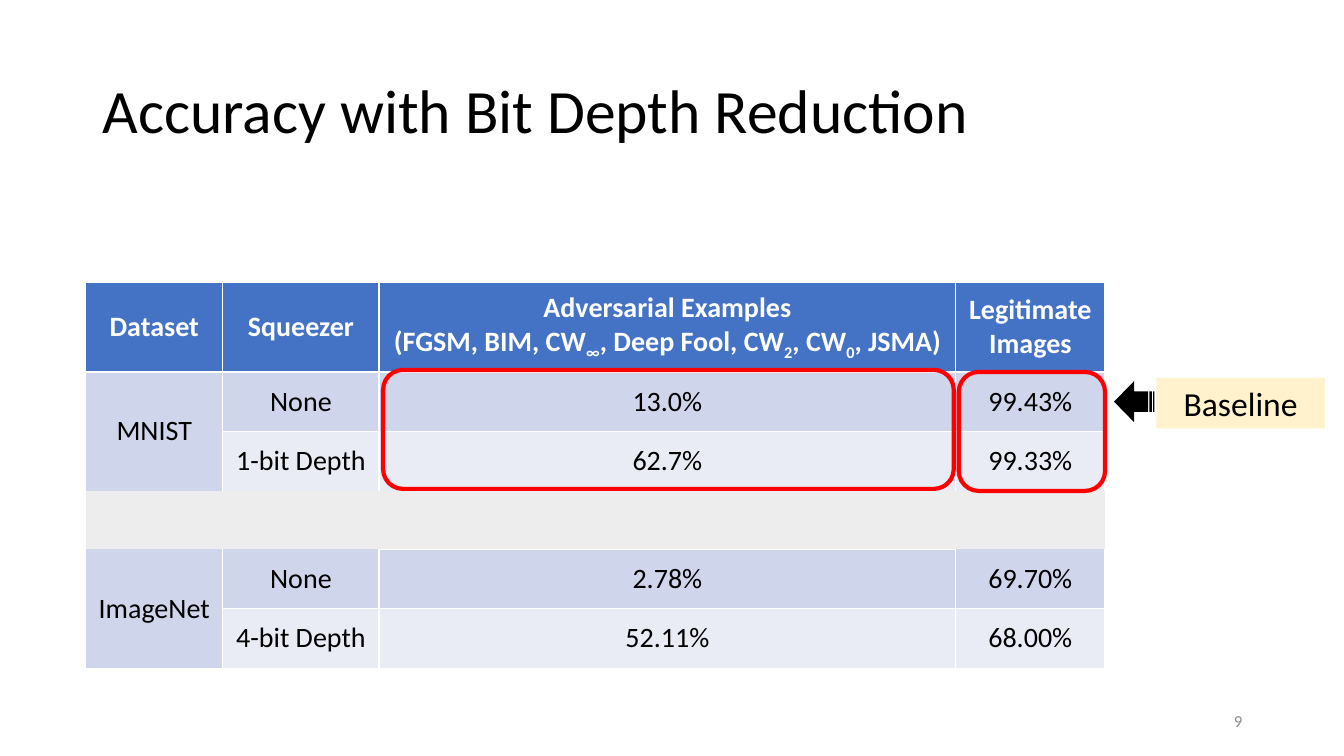
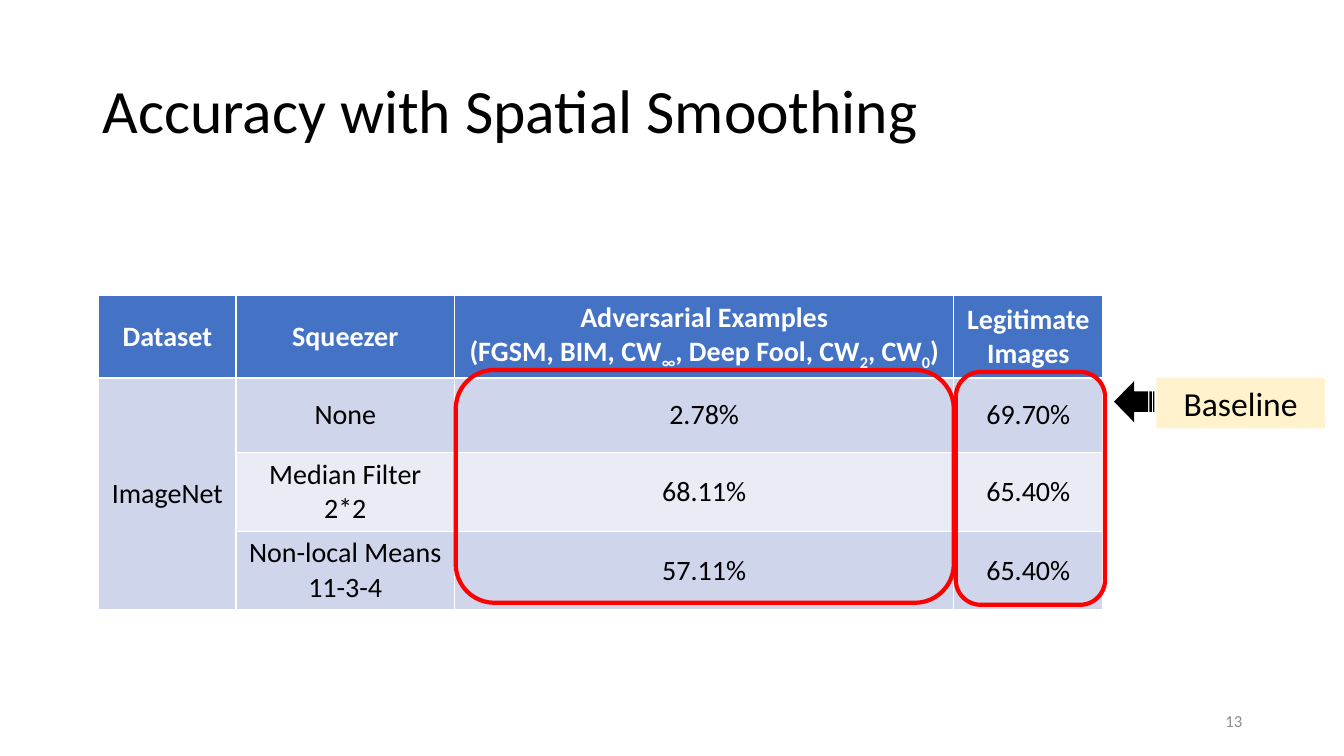
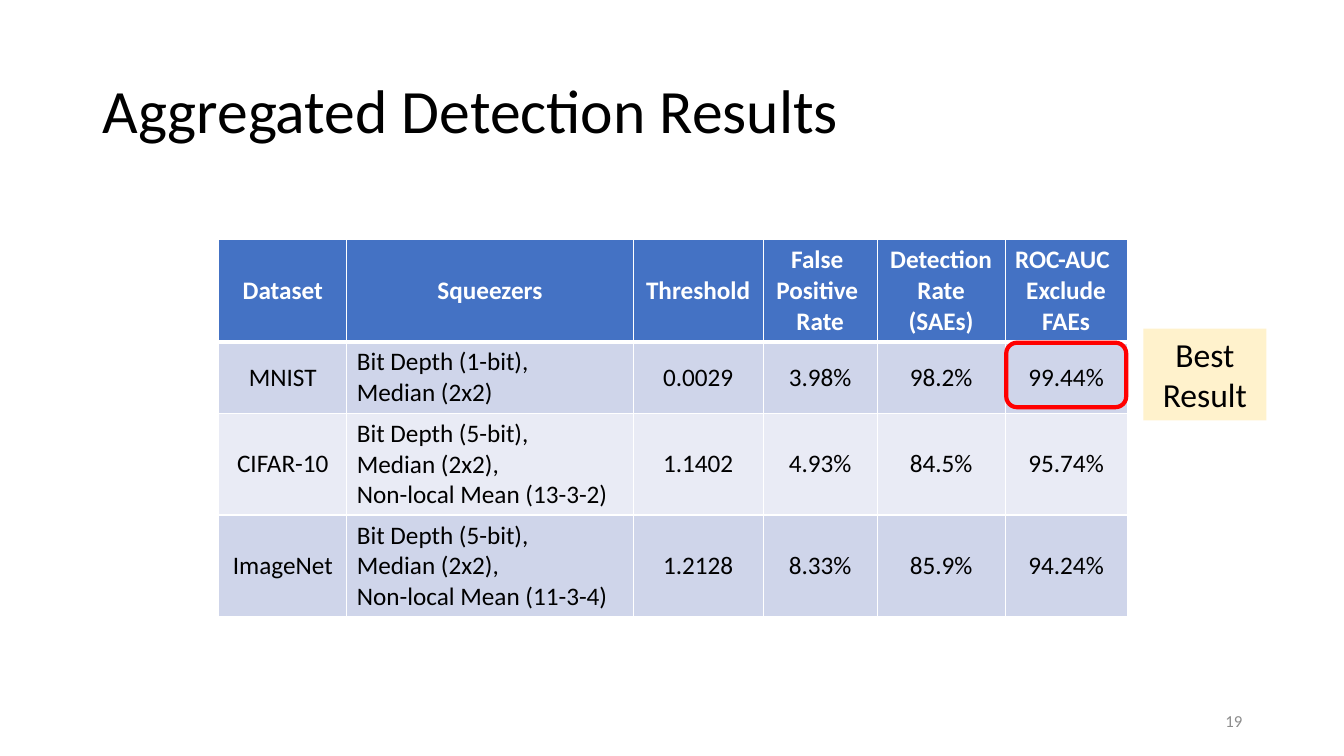
from dataclasses import dataclass

from lxml.etree import SubElement
from pptx import Presentation
from pptx.dml.color import RGBColor
from pptx.enum.shapes import MSO_SHAPE as Preset
from pptx.enum.text import MSO_ANCHOR as Anchor
from pptx.enum.text import MSO_AUTO_SIZE as AutoSize
from pptx.enum.text import PP_ALIGN as Align
from pptx.oxml.ns import qn
from pptx.shapes.autoshape import Shape
from pptx.slide import Slide
from pptx.table import _Cell as TableCell
from pptx.text.text import TextFrame
from pptx.util import Emu, Pt

PX_PER_INCH = 100
ALL_SIDES = "LRTB"


@dataclass(frozen=True)
class Theme:
    """Colours, font and type sizes shared by the slides."""

    font: str = "Calibri"
    ink: str = "000000"
    white: str = "FFFFFF"
    header: str = "4472C4"
    band_dark: str = "CFD5EA"
    band_light: str = "E9EBF5"
    gap: str = "EDEDED"
    highlight: str = "FF0000"
    callout: str = "FFF2CC"
    muted: str = "8C8C8C"
    title_size: int = 44
    callout_size: int = 24
    table_size: int = 20
    dense_table_size: int = 18
    number_size: int = 12
    gap_size: int = 11
    highlight_width: int = 3


THEME = Theme()


@dataclass(frozen=True)
class Box:
    """A rectangle in px."""

    left: int
    top: int
    width: int
    height: int

    def emu(self) -> tuple[Emu, Emu, Emu, Emu]:
        """Return the four lengths in EMU."""
        return px(self.left), px(self.top), px(self.width), px(self.height)


@dataclass(frozen=True)
class Cell:
    """A table cell; an underscore in its text lowers the next character."""

    text: str = ""
    rows: int = 1
    columns: int = 1
    sides: str = ALL_SIDES
    align: Align = Align.CENTER
    first_align: Align | None = None


@dataclass(frozen=True)
class Row:
    """A table row, where None stands for a cell covered by a merge."""

    height: int
    fill: str
    cells: tuple[Cell | str | None, ...]
    size: int = THEME.table_size
    bottom_width: int = 1


@dataclass(frozen=True)
class Callout:
    """A tinted label, with or without an arrow on its left."""

    text: str
    box: Box
    arrow: Box | None = None


@dataclass(frozen=True)
class ResultSlide:
    """One slide with a title, a table and its marks."""

    title: str
    number: int
    left: int
    top: int
    columns: tuple[int, ...]
    rows: tuple[Row, ...]
    callout: Callout
    highlights: tuple[Box, ...]


TITLE_BOX = Box(92, 40, 1150, 145)
NUMBER_BOX = Box(942, 695, 300, 40)
BASELINE = Callout("Baseline", Box(1147, 375, 167, 50), Box(1105, 378, 40, 41))
OPEN_TOP = "LRB"
GAP = Cell(sides="")
GAP_ROW = Row(29, THEME.gap, (Cell(columns=3, sides=""), None, None, GAP), THEME.gap_size)


def accuracy_header(height: int, attacks: str) -> Row:
    """Return the header row of an accuracy table."""
    examples = f"Adversarial Examples\n({attacks})"
    return Row(height, THEME.header, ("Dataset", "Squeezer", examples, "Legitimate\nImages"))


def detection_row(height: int, fill: str, dataset: str, squeezers: str, *values: str) -> Row:
    """Return one data row of the detection table."""
    cells = (dataset, Cell(squeezers, align=Align.LEFT), *values)
    return Row(height, fill, cells, THEME.dense_table_size)


SLIDES = (
    ResultSlide(
        "Accuracy with Bit Depth Reduction", 9, 85, 280, (136, 155, 572, 148),
        (
            accuracy_header(89, "FGSM, BIM, CW_∞, Deep Fool, CW_2, CW_0, JSMA"),
            Row(59, THEME.band_dark,
                (Cell("MNIST", rows=2, sides="LTR"), "None", "13.0%", "99.43%")),
            Row(59, THEME.band_light, (None, "1-bit Depth", "62.7%", "99.33%")),
            GAP_ROW,
            GAP_ROW,
            Row(59, THEME.band_dark,
                (Cell("ImageNet", rows=2, sides=OPEN_TOP), Cell("None", sides=OPEN_TOP),
                 "2.78%", Cell("69.70%", sides=OPEN_TOP))),
            Row(59, THEME.band_light, (None, "4-bit Depth", "52.11%", "68.00%")),
        ),
        BASELINE, (Box(380, 367, 566, 118), Box(951, 369, 145, 118)),
    ),
    ResultSlide(
        "Accuracy with Spatial Smoothing", 13, 98, 293, (136, 217, 495, 148),
        (
            accuracy_header(82, "FGSM, BIM, CW_∞, Deep Fool, CW_2, CW_0"),
            Row(74, THEME.band_dark, (Cell("ImageNet", rows=3), "None", "2.78%", "69.70%")),
            Row(78, THEME.band_light, (None, "Median Filter\n2*2", "68.11%", "65.40%")),
            Row(78, THEME.band_dark, (None, "Non-local Means\n11-3-4", "57.11%", "65.40%")),
        ),
        BASELINE, (Box(452, 367, 494, 231), Box(948, 369, 148, 231)),
    ),
    ResultSlide(
        "Aggregated Detection Results", 19, 217, 238, (127, 284, 129, 113, 127, 121),
        (
            Row(101, THEME.header,
                ("Dataset", "Squeezers", "Threshold", "False \nPositive \nRate",
                 "Detection\nRate\n(SAEs)",
                 Cell("ROC-AUC\nExclude\nFAEs", first_align=Align.LEFT)),
                THEME.dense_table_size, bottom_width=3),
            detection_row(71, THEME.band_dark, "MNIST", "Bit Depth (1-bit), \vMedian (2x2)",
                          "0.0029", "3.98%", "98.2%", "99.44%"),
            detection_row(101, THEME.band_light, "CIFAR-10",
                          "Bit Depth (5-bit), \vMedian (2x2), \vNon-local Mean (13-3-2)",
                          "1.1402", "4.93%", "84.5%", "95.74%"),
            detection_row(101, THEME.band_dark, "ImageNet",
                          "Bit Depth (5-bit), \vMedian (2x2), \vNon-local Mean (11-3-4)",
                          "1.2128", "8.33%", "85.9%", "94.24%"),
        ),
        Callout("Best Result", Box(1134, 326, 122, 91)), (Box(998, 340, 119, 64),),
    ),
)


def px(length: int) -> Emu:
    """Turn px into EMU."""
    return Emu(length * 914400 // PX_PER_INCH)


def write_text(
    frame: TextFrame,
    text: str,
    *,
    size: int,
    color: str = THEME.ink,
    bold: bool = False,
    align: Align = Align.LEFT,
    first_align: Align | None = None,
    anchor: Anchor = Anchor.MIDDLE,
    line_spacing: float | None = None,
) -> None:
    """Fill a text frame, one paragraph a line, with lowered characters after underscores."""
    frame.word_wrap = True
    frame.vertical_anchor = anchor
    for index, line in enumerate(text.split("\n")):
        paragraph = frame.add_paragraph() if index else frame.paragraphs[0]
        paragraph.alignment = align if index or first_align is None else first_align
        if line_spacing:
            paragraph.line_spacing = line_spacing
        if not line:
            SubElement(paragraph._p, qn("a:endParaRPr"), sz=str(size * 100))
        for break_index, segment in enumerate(line.split("\v")):
            if break_index:
                paragraph.add_line_break()
            plain, *lowered = segment.split("_")
            pieces = [(plain, False)]
            for part in lowered:
                pieces += [(part[0], True), (part[1:], False)]
            for piece, is_lowered in pieces:
                if not piece:
                    continue
                run = paragraph.add_run()
                run.text = piece
                run.font.name = THEME.font
                run.font.size = Pt(size)
                run.font.bold = bold
                run.font.color.rgb = RGBColor.from_string(color)
                if is_lowered:
                    run._r.get_or_add_rPr().set("baseline", "-25000")


def add_text_box(slide: Slide, box: Box, text: str, **text_format) -> None:
    """Add a text box with formatted text."""
    write_text(slide.shapes.add_textbox(*box.emu()).text_frame, text, **text_format)


def add_preset(
    slide: Slide, preset: Preset, box: Box, *, fill: str | None = None, line: str | None = None
) -> Shape:
    """Add a preset shape with an optional fill and outline."""
    shape = slide.shapes.add_shape(preset, *box.emu())
    shape.shadow.inherit = False
    if fill:
        shape.fill.solid()
        shape.fill.fore_color.rgb = RGBColor.from_string(fill)
    else:
        shape.fill.background()
    if line:
        shape.line.color.rgb = RGBColor.from_string(line)
        shape.line.width = Pt(THEME.highlight_width)
    else:
        shape.line.fill.background()
    return shape


def add_callout(slide: Slide, callout: Callout) -> None:
    """Add a tinted label and its arrow."""
    label = add_preset(slide, Preset.RECTANGLE, callout.box, fill=THEME.callout)
    write_text(label.text_frame, callout.text, size=THEME.callout_size,
               align=Align.CENTER, anchor=Anchor.TOP)
    label.text_frame.auto_size = AutoSize.SHAPE_TO_FIT_TEXT
    if callout.arrow:
        arrow = add_preset(slide, Preset.STRIPED_RIGHT_ARROW, callout.arrow, fill=THEME.ink)
        arrow._element.spPr.xfrm.set("flipH", "1")


def set_borders(table_cell: TableCell, sides: str, bottom_width: int) -> None:
    """Draw white borders on the given sides and none on the others."""
    properties = table_cell._tc.get_or_add_tcPr()
    for side in ALL_SIDES:
        width = Pt(bottom_width if side == "B" else 1)
        border = SubElement(properties, qn(f"a:ln{side}"), w=str(width))
        if side in sides:
            fill = SubElement(border, qn("a:solidFill"))
            SubElement(fill, qn("a:srgbClr"), val=THEME.white)
        else:
            SubElement(border, qn("a:noFill"))


def add_result_table(slide: Slide, content: ResultSlide) -> None:
    """Add the table with its merges, fills and borders."""
    height = sum(row.height for row in content.rows)
    box = Box(content.left, content.top, sum(content.columns), height)
    table = slide.shapes.add_table(len(content.rows), len(content.columns), *box.emu()).table
    table.first_row = False
    table.horz_banding = False
    for column, width in zip(table.columns, content.columns):
        column.width = px(width)
    for row_index, row in enumerate(content.rows):
        table.rows[row_index].height = px(row.height)
        is_header = row.fill == THEME.header
        for column_index, item in enumerate(row.cells):
            cell = Cell(item) if isinstance(item, str) else item or GAP
            table_cell = table.cell(row_index, column_index)
            if cell.rows > 1 or cell.columns > 1:
                table_cell.merge(table.cell(row_index + cell.rows - 1,
                                            column_index + cell.columns - 1))
            set_borders(table_cell, cell.sides, row.bottom_width)
            table_cell.fill.solid()
            table_cell.fill.fore_color.rgb = RGBColor.from_string(row.fill)
            write_text(table_cell.text_frame, cell.text, size=row.size, bold=is_header,
                       color=THEME.white if is_header else THEME.ink,
                       align=cell.align, first_align=cell.first_align)
            table_cell.vertical_anchor = Anchor.MIDDLE


def add_result_slide(presentation: Presentation, content: ResultSlide) -> None:
    """Add one complete slide."""
    slide = presentation.slides.add_slide(presentation.slide_layouts[6])
    add_text_box(slide, TITLE_BOX, content.title, size=THEME.title_size, line_spacing=0.9)
    add_text_box(slide, NUMBER_BOX, str(content.number), size=THEME.number_size,
                 color=THEME.muted, align=Align.RIGHT)
    add_result_table(slide, content)
    add_callout(slide, content.callout)
    for box in content.highlights:
        add_preset(slide, Preset.ROUNDED_RECTANGLE, box, line=THEME.highlight)


def main() -> None:
    """Build and save the presentation."""
    presentation = Presentation()
    presentation.slide_width = px(1333)
    presentation.slide_height = px(750)
    for content in SLIDES:
        add_result_slide(presentation, content)
    presentation.save("out.pptx")


if __name__ == "__main__":
    main()
